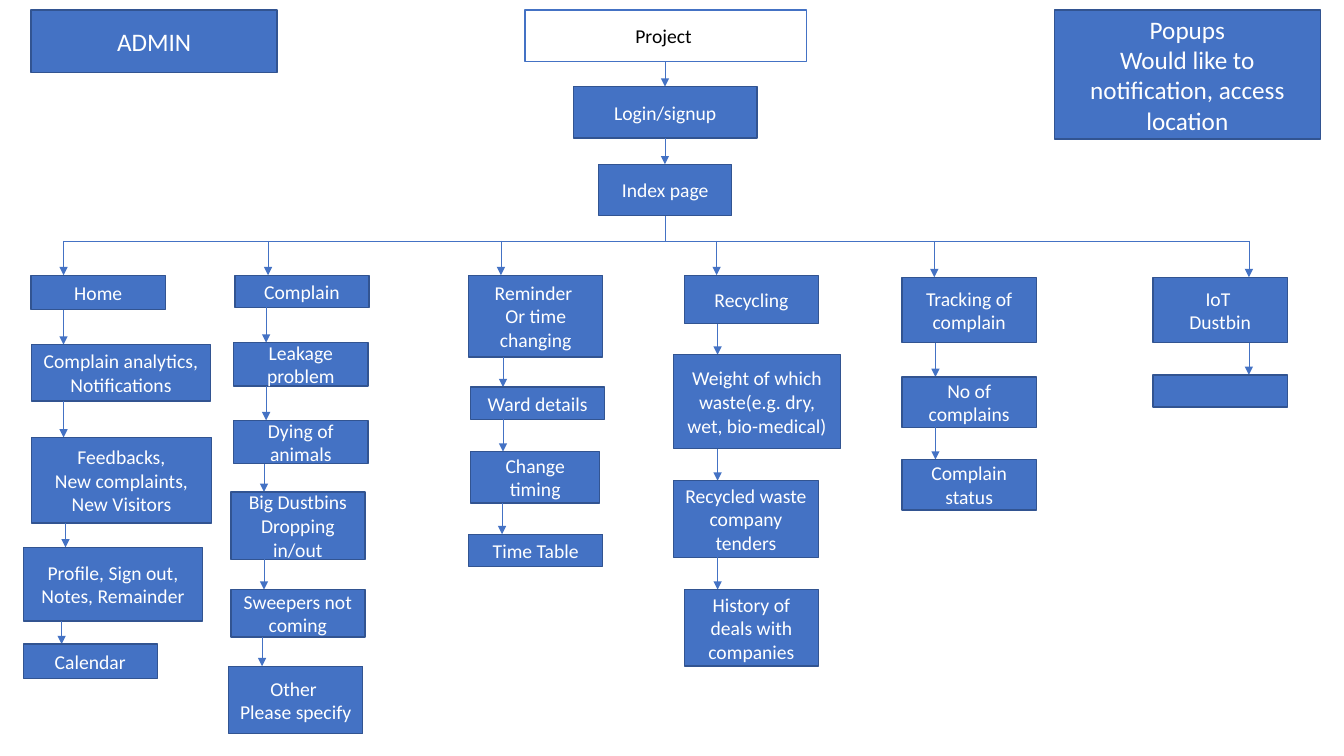
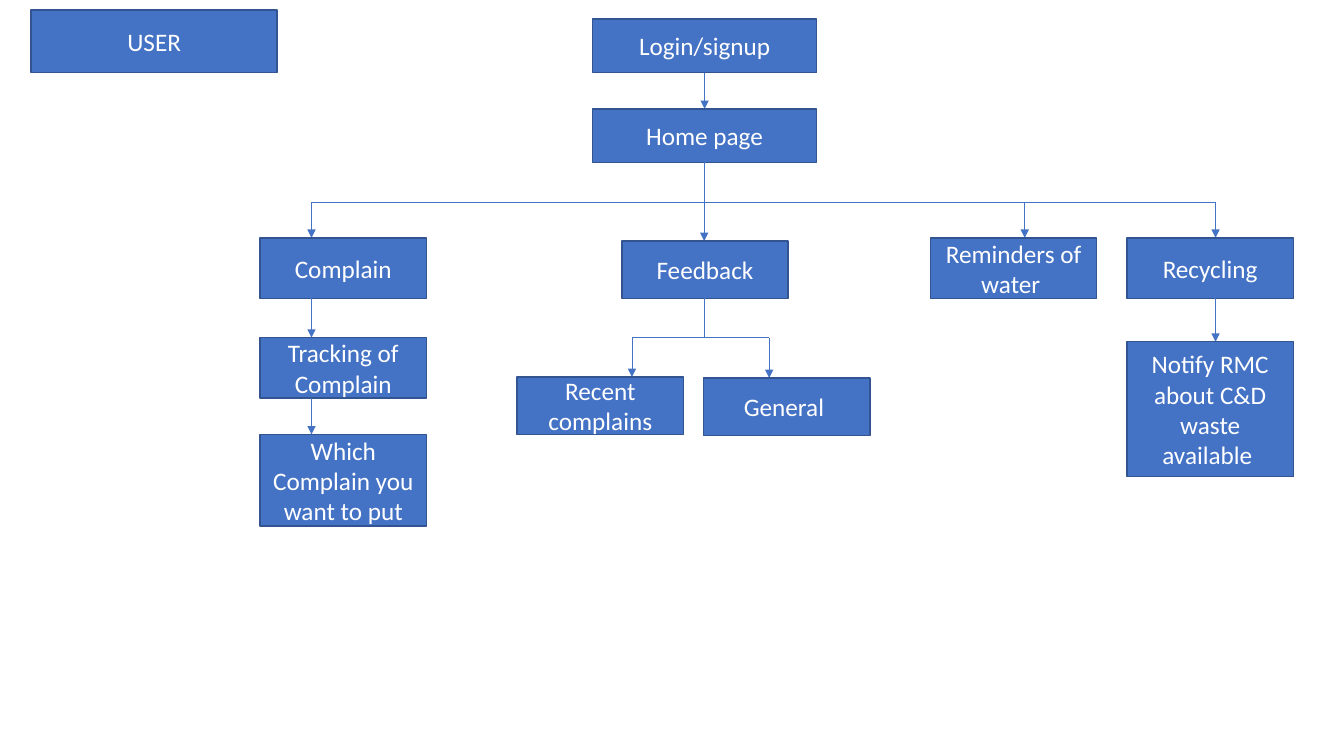
import pptx
import pptx.util
import pptx.dml.color
import pptx.enum.shapes
import pptx.enum.text
import pptx.oxml
import pptx.oxml.ns
from dataclasses import dataclass

Pt = pptx.util.Pt


@dataclass(frozen=True)
class Theme:
    font: str = "Calibri"
    blue: str = "4472C4"
    edge: str = "325491"
    white: str = "FFFFFF"
    black: str = "000000"
    small: int = 14
    large: int = 18
    border: float = 1
    wire: float = 0.5


theme = Theme()

# Content. Box: text, left, top, width, height; in a column, also the x of its arrow.
# Fork: stem x, stem top, bar y, columns of boxes.
admin = {
    "size": theme.small,
    "cards": [
        ("ADMIN", 22.3, 7.2, 175.7, 44.6),
        ("Popups\nWould like to notification, access location", 753.1, 7.2, 190.1, 92.2),
    ],
    "spine": [
        ("Project ", 375.1, 7.2, 200.9, 36.7, 475),
        ("Login/signup", 409.7, 61.9, 131, 36.7, 475),
        ("Index page", 427.7, 117.4, 95, 36.7, 475),
    ],
    "forks": [(475.5, 154.1, 172.1, [
        [
            ("Home", 22.3, 196.6, 95.8, 24.5, 45.4),
            ("Complain analytics,\nNotifications", 22.3, 246.2, 128.2, 40.3, 45.4),
            ("Feedbacks,\nNew complaints, New Visitors", 22.3, 312.5, 128.9, 61.2, 45.4),
            ("Profile, Sign out, Notes, Remainder", 16.6, 391, 128.2, 52.6, 46.8),
            ("Calendar", 16.6, 460.1, 95.8, 24.5, 44),
        ],
        [
            ("Complain", 167.8, 196.6, 95.8, 23, 191.5),
            ("Leakage problem", 167, 244.8, 95.8, 31, 190.1),
            ("Dying of animals", 167, 300.2, 95.8, 31, 190.1),
            ("Big Dustbins Dropping in/out", 164.9, 351.4, 95.8, 48.2, 188.6),
            ("Sweepers not coming", 164.9, 421.2, 95.8, 33.8, 188.6),
            ("Other \nPlease specify", 163.4, 475.9, 95.8, 48.2, 187.2),
        ],
        [
            ("Reminder \nOr time changing", 334.8, 196.6, 95.8, 58.3, 357.8),
            ("Ward details", 336.2, 276.5, 95.8, 23, 359.3),
            ("Change timing", 336.2, 322.6, 92.2, 36.7, 359.3),
            ("Time Table", 334.8, 381.6, 95.8, 23, 358.6),
        ],
        [
            ("Recycling", 488.9, 196.6, 95.8, 34.6, 511.9),
            ("Weight of which waste(e.g. dry, wet, bio-medical)",
             481, 253.4, 119.5, 67, 512.6),
            ("Recycled waste company tenders", 481, 343.4, 103.7, 54.7, 512.6),
            ("History of deals with companies", 488.9, 421.2, 95.8, 54.7, 512.6),
        ],
        [
            ("Tracking of complain", 644.4, 198, 95.8, 46.8, 667.4),
            ("No of complains", 644.4, 269.3, 95.8, 36, 668.2),
            ("Complain status", 644.4, 328.3, 95.8, 36, 668.2),
        ],
        [
            ("IoT \nDustbin", 823.7, 198, 95.8, 46.8, 892.1),
            ("", 823.7, 267.8, 95.8, 23, 892.1),
        ],
    ])],
}

user = {
    "size": theme.large,
    "cards": [("USER", 22.3, 7.2, 175.7, 44.6)],
    "spine": [
        ("Login/signup", 423.4, 13.7, 159.8, 38.2, 503.3),
        ("Home page", 423.4, 77.8, 159.8, 38.2, 503.3),
    ],
    "forks": [
        (503.3, 116, 144.7, [
            [
                ("Complain", 185.8, 169.9, 118.8, 43.2, 222.5),
                ("Tracking of Complain", 185.8, 241.2, 118.8, 43.2, 222.5),
                ("Which Complain you want to put", 185.8, 310.3, 118.8, 65.5, 222.5),
            ],
            [("Feedback", 444.2, 172.1, 118.8, 41, 503)],
            [("Reminders of water ", 664.6, 169.9, 118.8, 43.2, 732)],
            [
                ("Recycling", 805, 169.9, 118.8, 43.2, 868.3),
                ("Notify RMC about C&D waste available ", 805, 244.1, 118.8, 96.5, 868.3),
            ],
        ]),
        (503.3, 213.1, 241.2, [
            [("Recent complains", 369.4, 269.3, 118.8, 41, 451.4)],
            [("General ", 502.6, 270, 118.8, 41, 549.4)],
        ]),
    ],
}


def color(code):
    return pptx.dml.color.RGBColor.from_string(code)


def box(slide, text, left, top, width, height, size):
    # The root of the chart is the only light box
    root = text == "Project "
    shape = slide.shapes.add_shape(pptx.enum.shapes.MSO_SHAPE.RECTANGLE,
                                   Pt(left), Pt(top), Pt(width), Pt(height))
    shape.shadow.inherit = False
    shape.fill.solid()
    shape.fill.fore_color.rgb = color(theme.white if root else theme.blue)
    shape.line.color.rgb = color(theme.blue if root else theme.edge)
    shape.line.width = Pt(theme.border)
    frame = shape.text_frame
    frame.word_wrap = True
    frame.vertical_anchor = pptx.enum.text.MSO_ANCHOR.MIDDLE
    frame.text = text
    for para in frame.paragraphs:
        para.alignment = pptx.enum.text.PP_ALIGN.CENTER
        para.font.name = theme.font
        para.font.size = Pt(size)
        para.font.color.rgb = color(theme.black if root else theme.white)


def wire(slide, x1, y1, x2, y2, arrow=False):
    line = slide.shapes.add_connector(pptx.enum.shapes.MSO_CONNECTOR.STRAIGHT,
                                      Pt(x1), Pt(y1), Pt(x2), Pt(y2))
    line.line.color.rgb = color(theme.blue)
    line.line.width = Pt(theme.wire)
    if arrow:
        tail = pptx.oxml.parse_xml(
            f'<a:tailEnd {pptx.oxml.ns.nsdecls("a")} type="triangle"/>')
        line.line._get_or_add_ln().append(tail)
    flat = pptx.oxml.parse_xml(f'<a:effectLst {pptx.oxml.ns.nsdecls("a")}/>')
    line._element.spPr.append(flat)


def column(slide, boxes, size, start=None):
    # Each arrow runs from the bottom of the part above to the next box
    for *part, x in boxes:
        top, height = part[2], part[4]
        if start is not None:
            wire(slide, x, start, x, top, arrow=True)
        box(slide, *part, size)
        start = top + height


def fork(slide, stem, top, bar, columns, size):
    ends = [boxes[0][-1] for boxes in columns]
    wire(slide, stem, top, stem, bar)
    wire(slide, min(ends), bar, max(ends), bar)
    for boxes in columns:
        column(slide, boxes, size, bar)


# Build
deck = pptx.Presentation()
deck.slide_width, deck.slide_height = Pt(960), Pt(540)
for chart in (admin, user):
    slide = deck.slides.add_slide(deck.slide_layouts[6])
    for card in chart["cards"]:
        box(slide, *card, theme.large)
    column(slide, chart["spine"], chart["size"])
    for branch in chart["forks"]:
        fork(slide, *branch, chart["size"])
deck.save("out.pptx")
